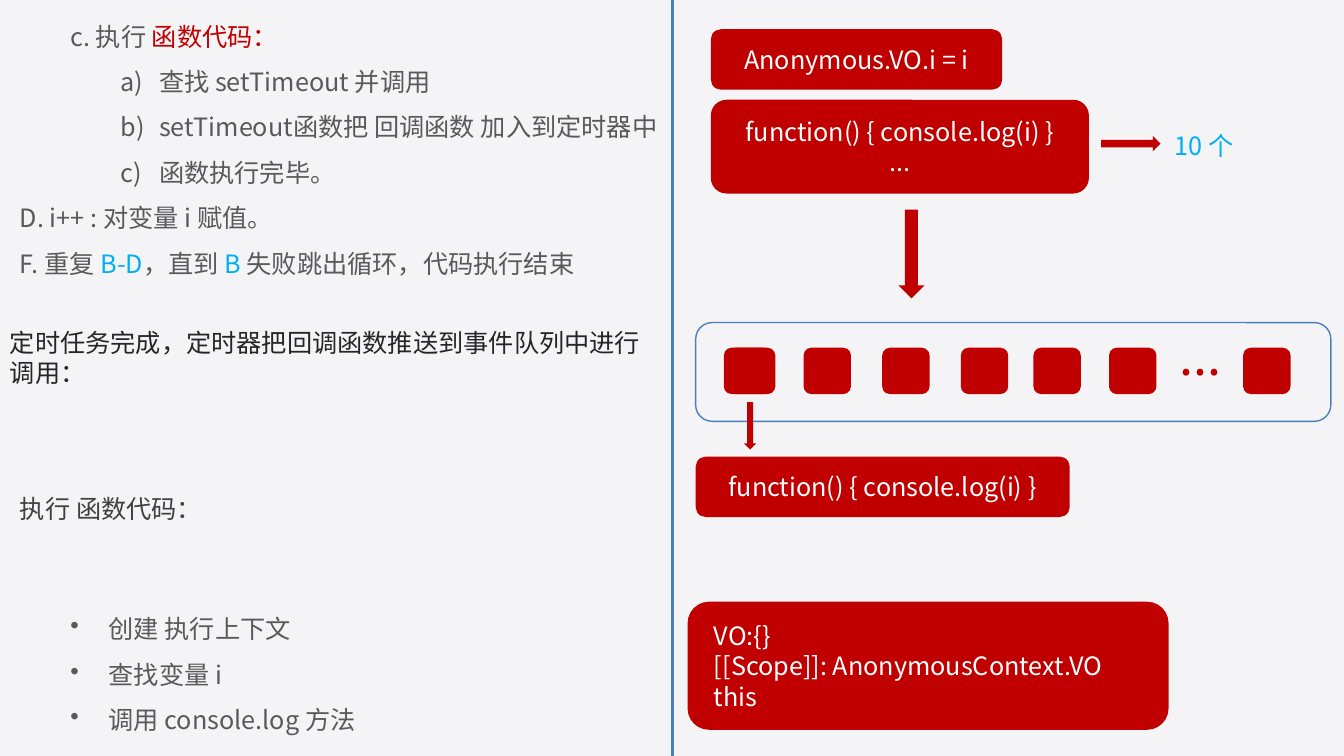
from lxml import etree
from pptx import Presentation
from pptx.dml.color import RGBColor
from pptx.enum.shapes import MSO_CONNECTOR, MSO_SHAPE
from pptx.enum.text import MSO_ANCHOR, PP_ALIGN
from pptx.oxml.ns import qn
from pptx.util import Inches, Pt

ROUND = MSO_SHAPE.ROUNDED_RECTANGLE
RIGHT_ARROW, DOWN_ARROW = MSO_SHAPE.RIGHT_ARROW, MSO_SHAPE.DOWN_ARROW
STRAIGHT = MSO_CONNECTOR.STRAIGHT
CENTER, LEFT = PP_ALIGN.CENTER, PP_ALIGN.LEFT
MIDDLE = MSO_ANCHOR.MIDDLE

FONT = "Noto Sans CJK SC"
COLORS = {"bg": "F4F4F6", "red": "C00000", "blue": "4B7EBC", "cyan": "00B0F0",
          "gray": "595959", "dark": "404040", "black": "262626", "white": "FFFFFF"}

# Paragraph formats: attributes, left margin and hanging indent, bullet
PLAIN = {}
SPACED = {"line_spacing": 1.5}
STEP = {"level": 1, "indent": (0.5, 0)}
SUBSTEP = {"level": 2, "line_spacing": 1.5, "indent": (1.38, -0.38),
           "bullet": ("a:buAutoNum", {"type": "alphaLcParenR"})}
BULLET = {"level": 1, "line_spacing": 1.5, "indent": (0.88, -0.38),
          "bullet": ("a:buChar", {"char": "•"})}


def rgb(color):
    return RGBColor.from_string(COLORS[color])


class SlideBuilder:
    def __init__(self, prs):
        self.slide = prs.slides.add_slide(prs.slide_layouts[6])
        fill = self.slide.background.fill
        fill.solid()
        fill.fore_color.rgb = rgb("bg")

    def add_paragraphs(self, tf, paragraphs, size=18):
        """Each paragraph is a format and a list of (text, color) runs."""
        for i, (style, runs) in enumerate(paragraphs):
            p = tf.add_paragraph() if i else tf.paragraphs[0]
            for name, value in style.items():
                if name not in ("indent", "bullet"):
                    setattr(p, name, value)
            pPr = p._p.get_or_add_pPr()
            if "indent" in style:
                for name, value in zip(("marL", "indent"), style["indent"]):
                    pPr.set(name, str(Inches(value)))
            if "bullet" in style:
                tag, attributes = style["bullet"]
                etree.SubElement(pPr, qn(tag), attributes)
            for text, color in runs:
                r = p.add_run()
                r.text = text
                for name, value in {"size": Pt(size), "name": FONT}.items():
                    setattr(r.font, name, value)
                r.font.color.rgb = rgb(color)
                etree.SubElement(r._r.get_or_add_rPr(), qn("a:ea"), typeface=FONT)

    def text(self, box, paragraphs, size=18, wrap=True):
        tf = self.slide.shapes.add_textbox(*map(Inches, box)).text_frame
        tf.word_wrap = wrap
        self.add_paragraphs(tf, paragraphs, size)

    def shape(self, kind, box, fill="red", line=None):
        sp = self.slide.shapes.add_shape(kind, *map(Inches, box))
        sp.shadow.inherit = False
        if fill:
            sp.fill.solid()
            sp.fill.fore_color.rgb = rgb(fill)
        else:
            sp.fill.background()
        if line:
            sp.line.color.rgb = rgb(line)
            sp.line.width = Pt(1)
        else:
            sp.line.fill.background()
        return sp

    def code(self, box, lines, align=CENTER):
        tf = self.shape(ROUND, box).text_frame
        frame = {"margin_left": Inches(0.2), "margin_right": Inches(0.2),
                 "margin_top": Inches(0.12), "margin_bottom": Inches(0.12),
                 "vertical_anchor": MIDDLE, "word_wrap": False}
        for name, value in frame.items():
            setattr(tf, name, value)
        self.add_paragraphs(tf, [({"alignment": align}, [(line, "white")])
                                 for line in lines])

    def line(self, x1, y1, x2, y2):
        c = self.slide.shapes.add_connector(STRAIGHT, *map(Inches, (x1, y1, x2, y2)))
        c.line.color.rgb = rgb("blue")
        c.line.width = Pt(2)
        etree.SubElement(c._element.spPr, qn("a:effectLst"))


def main():
    prs = Presentation()
    prs.slide_width, prs.slide_height = Inches(13.33), Inches(7.5)
    s = SlideBuilder(prs)
    s.line(6.67, 0, 6.67, 7.5)

    # Left: loop steps
    s.text((0.1, 0.16, 6.67, 3.28), [
        (STEP, [("c. 执行 ", "gray"), ("函数代码：", "red")]),
        (SUBSTEP, [("查找 setTimeout 并调用", "gray")]),
        (SUBSTEP, [("setTimeout函数把 回调函数 加入到定时器中", "gray")]),
        (SUBSTEP, [("函数执行完毕。", "gray")]),
        (SPACED, [("D. i++ : 对变量 i 赋值。", "gray")]),
        (SPACED, [("F. 重复 ", "gray"), ("B-D", "cyan"), ("，直到 ", "gray"),
                  ("B ", "cyan"), ("失败跳出循环，代码执行结束", "gray")]),
    ])

    # Left: timer finished, callback runs
    s.text((0, 3.2, 6.56, 0.71),
           [(PLAIN, [("定时任务完成，定时器把回调函数推送到事件队列中进行调用：", "black")])])
    s.text((0.1, 4.84, 5.74, 2.6), [
        (PLAIN, [("执行 函数代码：", "dark")]),
        ({**BULLET, "space_before": Pt(54)}, [("创建 执行上下文", "gray")]),
        (BULLET, [("查找变量 i", "gray")]),
        (BULLET, [("调用 console.log 方法", "gray")]),
    ])

    # Right: callbacks handed to the timer
    callback = "function() { console.log(i) }"
    s.code((7.05, 0.29, 2.89, 0.6), ["Anonymous.VO.i = i"])
    s.code((7.05, 0.99, 3.75, 0.93), [callback, "..."])
    s.shape(RIGHT_ARROW, (10.92, 1.35, 0.59, 0.15))
    s.text((11.55, 1.24, 0.87, 0.4), [(PLAIN, [("10 个", "cyan")])], wrap=False)
    s.shape(DOWN_ARROW, (8.91, 2.08, 0.26, 0.88))

    # Right: event queue
    for x in (7.22, 7.18, 7.97, 8.75, 9.53, 10.25, 11, 12.33):
        s.shape(ROUND, (x, 3.45, 0.47, 0.46))
    s.shape(ROUND, (6.9, 3.2, 6.3, 0.98), fill=None, line="blue")
    s.text((11.6, 3.18, 0.79, 0.71), [(PLAIN, [("...", "red")])], size=36)
    s.shape(DOWN_ARROW, (7.38, 3.99, 0.12, 0.47))

    # Right: running callback and its context
    s.code((6.9, 4.53, 3.71, 0.6), [callback])
    s.code((6.82, 5.97, 4.77, 1.27),
           ["VO:{}", "[[Scope]]: AnonymousContext.VO", "this"], align=LEFT)

    prs.save("out.pptx")


if __name__ == "__main__":
    main()
